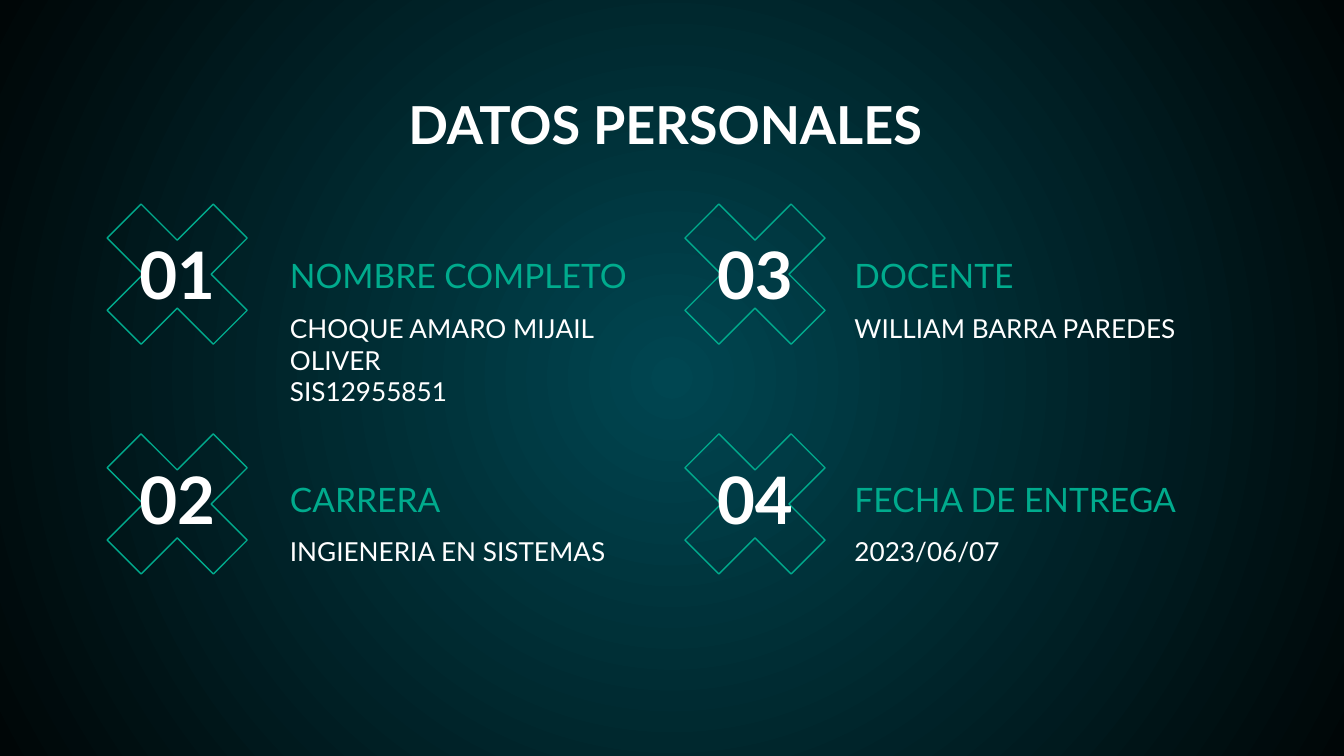
import pptx
import pptx.dml.color
import pptx.enum.shapes
import pptx.enum.text
import pptx.oxml
import pptx.oxml.ns
import pptx.util

Cm = pptx.util.Cm
ANCHOR = pptx.enum.text.MSO_ANCHOR
ALIGN = pptx.enum.text.PP_ALIGN

COLORS = {
    "centre": "004651",
    "edge": "000607",
    "accent": "00AB8D",
    "text": "FFFFFF",
}
CIRCLE = (
    f'<a:path {pptx.oxml.ns.nsdecls("a")} path="circle">'
    '<a:fillToRect l="50000" t="50000" r="50000" b="50000"/></a:path>'
)

# Left edges of each column and top edges of each row, in cm
COLUMNS = [{"cross": 1.42, "entry": 5.23}, {"cross": 12.34, "entry": 15.9}]
ROWS = [
    {"cross": 3.25, "number": 4.55, "detail": 5.66},
    {"cross": 7.59, "number": 8.79, "detail": 9.86},
]
CROSS_SIZE = 3.86
NUMBER_WIDTH = 2.39
ENTRY_WIDTH = 7.16

# Read down the first column, then down the second
ENTRIES = [
    ("NOMBRE COMPLETO", ["CHOQUE AMARO MIJAIL OLIVER", "SIS12955851"]),
    ("CARRERA", ["INGIENERIA EN SISTEMAS"]),
    ("DOCENTE", ["WILLIAM BARRA PAREDES"]),
    ("FECHA DE ENTREGA", ["2023/06/07"]),
]


def rgb(name):
    return pptx.dml.color.RGBColor.from_string(COLORS[name])


def write(frame, lines, size, color="text", bold=False,
          align=ALIGN.LEFT, anchor=ANCHOR.TOP):
    frame.word_wrap = True
    frame.auto_size = pptx.enum.text.MSO_AUTO_SIZE.NONE
    frame.vertical_anchor = anchor
    frame.margin_left = frame.margin_right = Cm(0.25)
    frame.margin_top = frame.margin_bottom = Cm(0.25)
    frame.text = "\n".join(lines)
    for paragraph in frame.paragraphs:
        paragraph.alignment = align
        font = paragraph.font
        font.name = "Lato"
        font.size = pptx.util.Pt(size)
        font.bold = bold
        font.color.rgb = rgb(color)


class DataSlide:
    def __init__(self, presentation):
        self.slide = presentation.slides.add_slide(presentation.slide_layouts[5])

    def background(self):
        """Fill the slide with a gradient that spreads from its centre."""
        fill = self.slide.background.fill
        fill.gradient()
        for stop, name in zip(fill.gradient_stops, ("centre", "edge")):
            stop.color.rgb = rgb(name)
        linear = next(self.slide.element.iter(pptx.oxml.ns.qn("a:lin")))
        linear.getparent().replace(linear, pptx.oxml.parse_xml(CIRCLE))

    def title(self, words, left, top, width, height):
        title = self.slide.shapes.title
        title.left, title.top = Cm(left), Cm(top)
        title.width, title.height = Cm(width), Cm(height)
        write(title.text_frame, [words], 28, bold=True, align=ALIGN.CENTER)

    def cross(self, left, top):
        cross = self.slide.shapes.add_shape(
            pptx.enum.shapes.MSO_SHAPE.MATH_MULTIPLY,
            Cm(left), Cm(top), Cm(CROSS_SIZE), Cm(CROSS_SIZE))
        cross.adjustments[0] = 0.235
        cross.shadow.inherit = False
        cross.fill.background()
        cross.line.color.rgb = rgb("accent")
        cross.line.width = pptx.util.Pt(0.75)

    def text(self, lines, left, top, width, height, **style):
        box = self.slide.shapes.add_textbox(
            Cm(left), Cm(top), Cm(width), Cm(height))
        write(box.text_frame, lines, **style)


def main():
    presentation = pptx.Presentation()
    presentation.slide_width = Cm(25.4)
    presentation.slide_height = Cm(14.28)

    page = DataSlide(presentation)
    page.background()
    page.title("DATOS PERSONALES", 1.85, 1.5, 21.44, 1.6)

    for index, (heading, details) in enumerate(ENTRIES):
        column, row = COLUMNS[index // 2], ROWS[index % 2]
        page.cross(column["cross"], row["cross"])
        page.text([f"{index + 1:02}"],
                  column["cross"] + (CROSS_SIZE - NUMBER_WIDTH) / 2,
                  row["number"], NUMBER_WIDTH, 1.24, size=35, bold=True,
                  align=ALIGN.CENTER, anchor=ANCHOR.MIDDLE)
        page.text([heading], column["entry"], row["number"] + 0.23,
                  ENTRY_WIDTH, 1.04, size=18, color="accent",
                  anchor=ANCHOR.BOTTOM)
        page.text(details, column["entry"], row["detail"],
                  ENTRY_WIDTH, 1.47, size=14)

    presentation.save("out.pptx")


if __name__ == "__main__":
    main()
